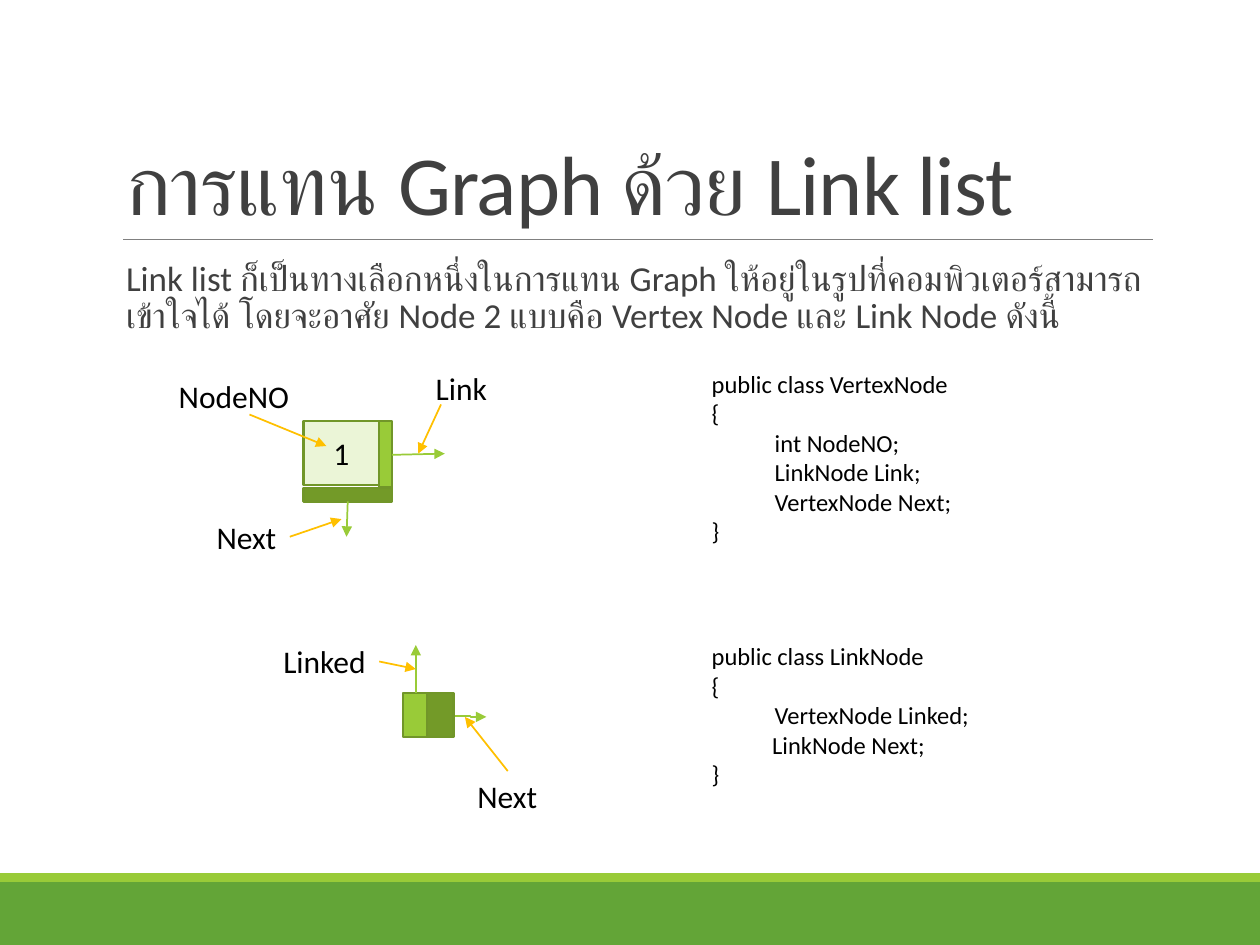
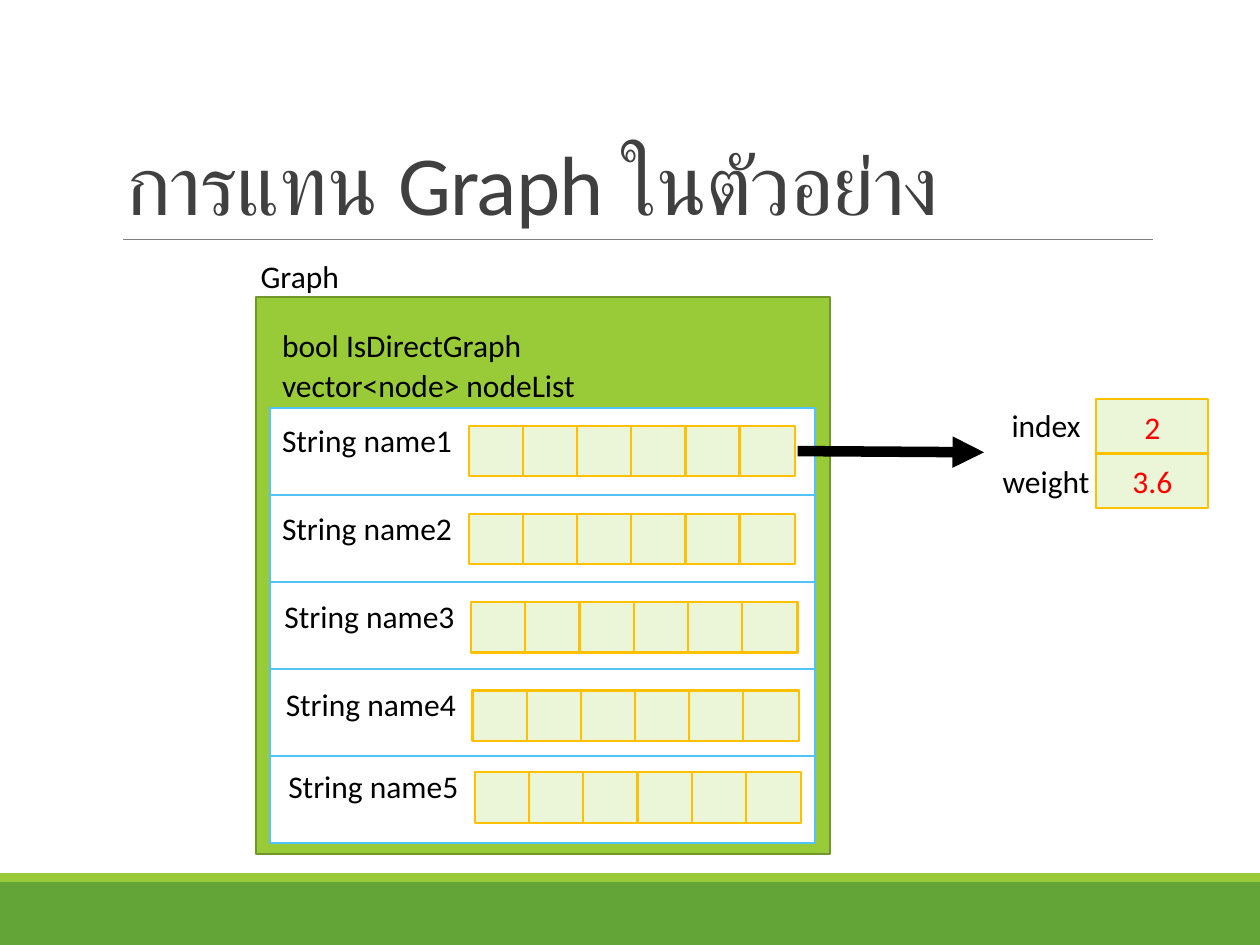
"""Two slides on representing a graph with linked nodes."""
from dataclasses import dataclass
from typing import Any, Optional

import lxml.etree
import pptx
import pptx.dml.color
import pptx.enum.shapes
import pptx.enum.text
import pptx.oxml.ns
import pptx.util

Inches = pptx.util.Inches
Pt = pptx.util.Pt
RGBColor = pptx.dml.color.RGBColor
Align = pptx.enum.text.PP_ALIGN
Anchor = pptx.enum.text.MSO_ANCHOR
AutoSize = pptx.enum.text.MSO_AUTO_SIZE
Link = pptx.enum.shapes.MSO_CONNECTOR
qn = pptx.oxml.ns.qn

# Colours and font
GREEN = RGBColor(0x63, 0xA5, 0x37)
LIME = RGBColor(0x99, 0xCB, 0x38)
OLIVE = RGBColor(0x73, 0x9A, 0x28)
OLIVE_EDGE = RGBColor(0x71, 0x96, 0x29)
PALE = RGBColor(0xEB, 0xF5, 0xD7)
AMBER = RGBColor(0xFF, 0xC0, 0x00)
SKY = RGBColor(0x51, 0xC3, 0xF9)
GREY = RGBColor(0x80, 0x80, 0x80)
INK = RGBColor(0x40, 0x40, 0x40)
BLACK = RGBColor(0, 0, 0)
WHITE = RGBColor(0xFF, 0xFF, 0xFF)
RED = RGBColor(0xFF, 0, 0)
FONT = "Calibri"

# Shared formats
TITLE_FRAME = {"auto_size": AutoSize.NONE, "word_wrap": True,
               "vertical_anchor": Anchor.BOTTOM}
TITLE_PARA = {"alignment": Align.LEFT, "line_spacing": 0.85}
BODY_FRAME = {"auto_size": AutoSize.NONE, "word_wrap": True,
              "vertical_anchor": Anchor.TOP,
              "margin_left": 0, "margin_right": 0}
BODY_PARA = {"alignment": Align.LEFT, "line_spacing": 0.9,
             "space_before": Pt(12), "space_after": Pt(2)}
LABEL_FRAME = {"word_wrap": False, "auto_size": AutoSize.SHAPE_TO_FIT_TEXT}


@dataclass
class Box:
    """A rectangle, in inches, with an optional centred value."""
    left: float
    top: float
    width: float
    height: float
    fill: RGBColor
    edge: Optional[RGBColor] = None
    text: str = ""
    ink: RGBColor = BLACK


@dataclass
class Label:
    """A text box that fits its lines; indents are in inches, per line."""
    left: float
    top: float
    width: float
    height: float
    lines: tuple[str, ...]
    size: float = 18
    indents: tuple[float, ...] = ()


@dataclass
class Arrow:
    """A line between two points, in inches."""
    start: tuple[float, float]
    end: tuple[float, float]
    color: RGBColor
    weight: float = 1
    kind: Any = Link.STRAIGHT
    head: bool = True


def apply(target: Any, values: dict[str, Any]) -> None:
    for name, value in values.items():
        setattr(target, name, value)


def write(para: Any, text: str, size: float, color: RGBColor) -> Any:
    span = para.add_run()
    span.text = text
    apply(span.font, {"name": FONT, "size": Pt(size)})
    span.font.color.rgb = color
    return span


def set_indent(para: Any, left: float) -> None:
    settings = para._p.get_or_add_pPr()
    settings.set("marL", str(Inches(left)))
    settings.set("indent", "0")


def draw_box(page: Any, box: Box) -> None:
    shape = page.shapes.add_shape(
        pptx.enum.shapes.MSO_SHAPE.RECTANGLE, Inches(box.left),
        Inches(box.top), Inches(box.width), Inches(box.height))
    shape.shadow.inherit = False
    shape.fill.solid()
    shape.fill.fore_color.rgb = box.fill
    if box.edge is None:
        shape.line.fill.background()
    else:
        shape.line.color.rgb = box.edge
        shape.line.width = Pt(1.25)
    if box.text:
        shape.text_frame.vertical_anchor = Anchor.MIDDLE
        para = shape.text_frame.paragraphs[0]
        para.alignment = Align.CENTER
        write(para, box.text, 18, box.ink)


def draw_label(page: Any, label: Label) -> None:
    frame = page.shapes.add_textbox(
        Inches(label.left), Inches(label.top),
        Inches(label.width), Inches(label.height)).text_frame
    apply(frame, LABEL_FRAME)
    for number, line in enumerate(label.lines):
        para = frame.add_paragraph() if number else frame.paragraphs[0]
        if label.indents:
            set_indent(para, label.indents[number])
        write(para, line, label.size, BLACK)


def draw_arrow(page: Any, arrow: Arrow) -> None:
    line = page.shapes.add_connector(
        arrow.kind, *(Inches(value) for value in arrow.start + arrow.end))
    line.line.color.rgb = arrow.color
    line.line.width = Pt(arrow.weight)
    if arrow.head:
        outline = line.line._get_or_add_ln()
        lxml.etree.SubElement(outline, qn("a:tailEnd"), type="triangle")
    lxml.etree.SubElement(line._element.spPr, qn("a:effectLst"))


DRAWERS = {Box: draw_box, Label: draw_label, Arrow: draw_arrow}


def draw(page: Any, *parts: Any) -> None:
    for part in parts:
        DRAWERS[type(part)](page, part)


def place(holder: Any, left: float, top: float, width: float,
          height: float) -> None:
    apply(holder, {"left": Inches(left), "top": Inches(top),
                   "width": Inches(width), "height": Inches(height)})


def add_page(deck: Any, layout: int, title: str) -> Any:
    """Add a slide with the footer bands, the title and its rule."""
    page = deck.slides.add_slide(deck.slide_layouts[layout])
    draw(page,
         Box(0, 7, 10, 0.5, GREEN),
         Box(0, 6.93, 10, 0.07, LIME),
         Arrow((0.98, 1.9), (9.15, 1.9), GREY, 0.5, head=False))
    holder = page.shapes.title
    place(holder, 0.9, 0.31, 8.25, 1.59)
    apply(holder.text_frame, TITLE_FRAME)
    para = holder.text_frame.paragraphs[0]
    apply(para, TITLE_PARA)
    span = write(para, title, 48, INK)
    span._r.get_or_add_rPr().set("spc", "-50")
    return page


def add_body(page: Any, text: str) -> None:
    holder = page.placeholders[1]
    place(holder, 0.9, 2.02, 8.25, 0.74)
    apply(holder.text_frame, BODY_FRAME)
    para = holder.text_frame.paragraphs[0]
    apply(para, BODY_PARA)
    set_indent(para, 0.1)
    lxml.etree.SubElement(para._p.get_or_add_pPr(), qn("a:buNone"))
    write(para, text, 20, INK)


def build_node_page(deck: Any) -> None:
    page = add_page(deck, 1, "การแทน Graph ด้วย Link list")
    add_body(page, "Link list ก็เป็นทางเลือกหนึ่งในการแทน Graph "
                   "ให้อยู่ในรูปที่คอมพิวเตอร์สามารถเข้าใจได้ "
                   "โดยจะอาศัย Node 2 แบบคือ Vertex Node และ Link Node ดังนี้")
    # Class definitions
    draw(page,
         Label(5.55, 2.88, 2.12, 1.51,
               ("public class VertexNode", "{", "int NodeNO;",
                "LinkNode Link;", "VertexNode Next;", "}"),
               14, (0, 0, 0.5, 0.5, 0.5, 0)),
         Label(5.55, 5.04, 2.27, 1.28,
               ("public class LinkNode", "{", "VertexNode Linked;",
                "LinkNode Next;", "}"),
               14, (0, 0, 0.5, 0.48, 0)))
    # Vertex node and its pointers
    draw(page,
         Box(2.41, 3.34, 0.6, 0.51, PALE, OLIVE_EDGE, "1"),
         Box(2.41, 3.87, 0.7, 0.11, OLIVE, OLIVE_EDGE),
         Box(3.01, 3.34, 0.1, 0.53, LIME, OLIVE_EDGE),
         Arrow((3.11, 3.61), (3.53, 3.6), LIME),
         Arrow((2.76, 3.98), (2.75, 4.26), LIME))
    # Link node and its pointers
    draw(page,
         Box(3.2, 5.5, 0.2, 0.35, LIME, OLIVE_EDGE),
         Box(3.39, 5.5, 0.21, 0.35, OLIVE, OLIVE_EDGE),
         Arrow((3.3, 5.5), (3.3, 5.12), LIME),
         Arrow((3.61, 5.68), (3.86, 5.69), LIME, kind=Link.ELBOW))
    # Field names pointing at the parts
    draw(page,
         Label(1.32, 2.94, 1.09, 0.4, ("NodeNO",)),
         Arrow((1.98, 3.29), (2.59, 3.54), AMBER),
         Label(3.36, 2.88, 0.61, 0.4, ("Link",)),
         Arrow((3.5, 3.21), (3.32, 3.6), AMBER),
         Label(1.62, 4.06, 0.68, 0.4, ("Next",)),
         Arrow((2.3, 4.26), (2.71, 4.12), AMBER),
         Label(2.15, 5.05, 0.87, 0.4, ("Linked",)),
         Arrow((3.01, 5.25), (3.3, 5.31), AMBER),
         Label(3.69, 6.12, 0.68, 0.4, ("Next",)),
         Arrow((4.03, 6.12), (3.69, 5.69), AMBER))


def build_graph_page(deck: Any) -> None:
    page = add_page(deck, 5, "การแทน Graph ในตัวอย่าง")
    # Graph object and its fields
    draw(page,
         Box(2.03, 2.36, 4.56, 4.42, LIME, OLIVE_EDGE),
         Label(2.14, 2.54, 2.13, 0.4, ("bool IsDirectGraph",)),
         Label(2.14, 2.86, 2.58, 0.4, ("vector<node> nodeList",)),
         Label(1.97, 1.99, 0.83, 0.4, ("Graph",)))
    # Node rows, each with a name and six edge cells
    row_height, cell_pitch, cell_count = 0.69, 0.43, 6
    name_spots = ((2.14, 3.29), (2.14, 3.99), (2.16, 4.69),
                  (2.17, 5.39), (2.19, 6.04))
    for row, (left, top) in enumerate(name_spots):
        draw(page,
             Box(2.14, 3.24 + row * row_height, 4.33, row_height, WHITE, SKY),
             Label(left, top, 1.57, 0.4, (f"String name{row + 1}",)))
        for cell in range(cell_count):
            draw(page, Box(left + 1.58 + cell * cell_pitch, top + 0.09,
                           0.44, 0.4, PALE, AMBER))
    # Contents of one edge cell
    edge_fields = (("index", "2", 7.93, 3.17, 0.76),
                   ("weight", "3.6", 7.86, 3.62, 0.9))
    for row, (name, value, left, top, width) in enumerate(edge_fields):
        draw(page,
             Box(8.7, 3.17 + row * 0.43, 0.89, 0.43, PALE, AMBER, value, RED),
             Label(left, top, width, 0.4, (name,)))
    draw(page, Arrow((6.33, 3.58), (7.81, 3.59), BLACK, 6))


deck = pptx.Presentation()
apply(deck, {"slide_width": Inches(10), "slide_height": Inches(7.5)})
build_node_page(deck)
build_graph_page(deck)
deck.save("out.pptx")
